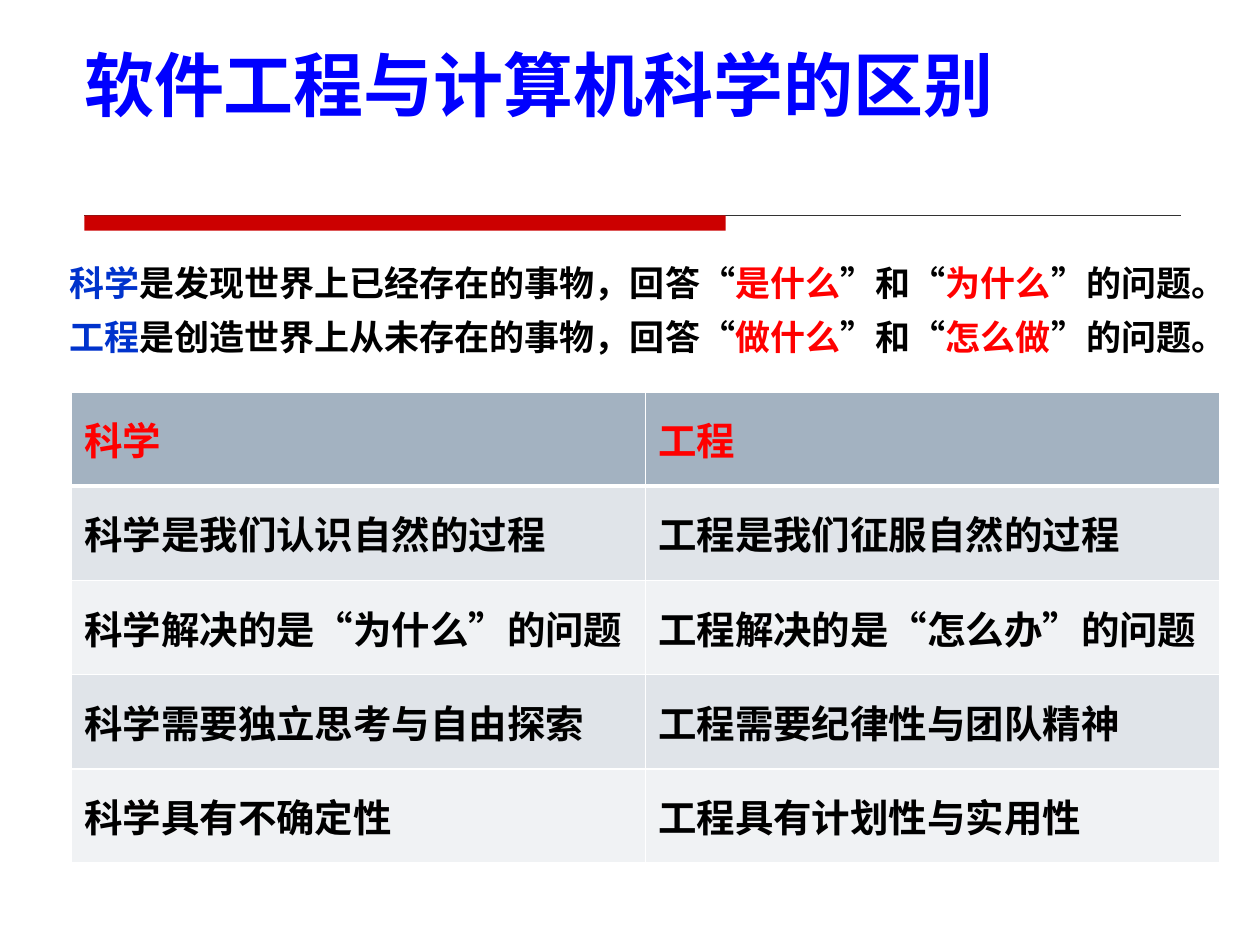
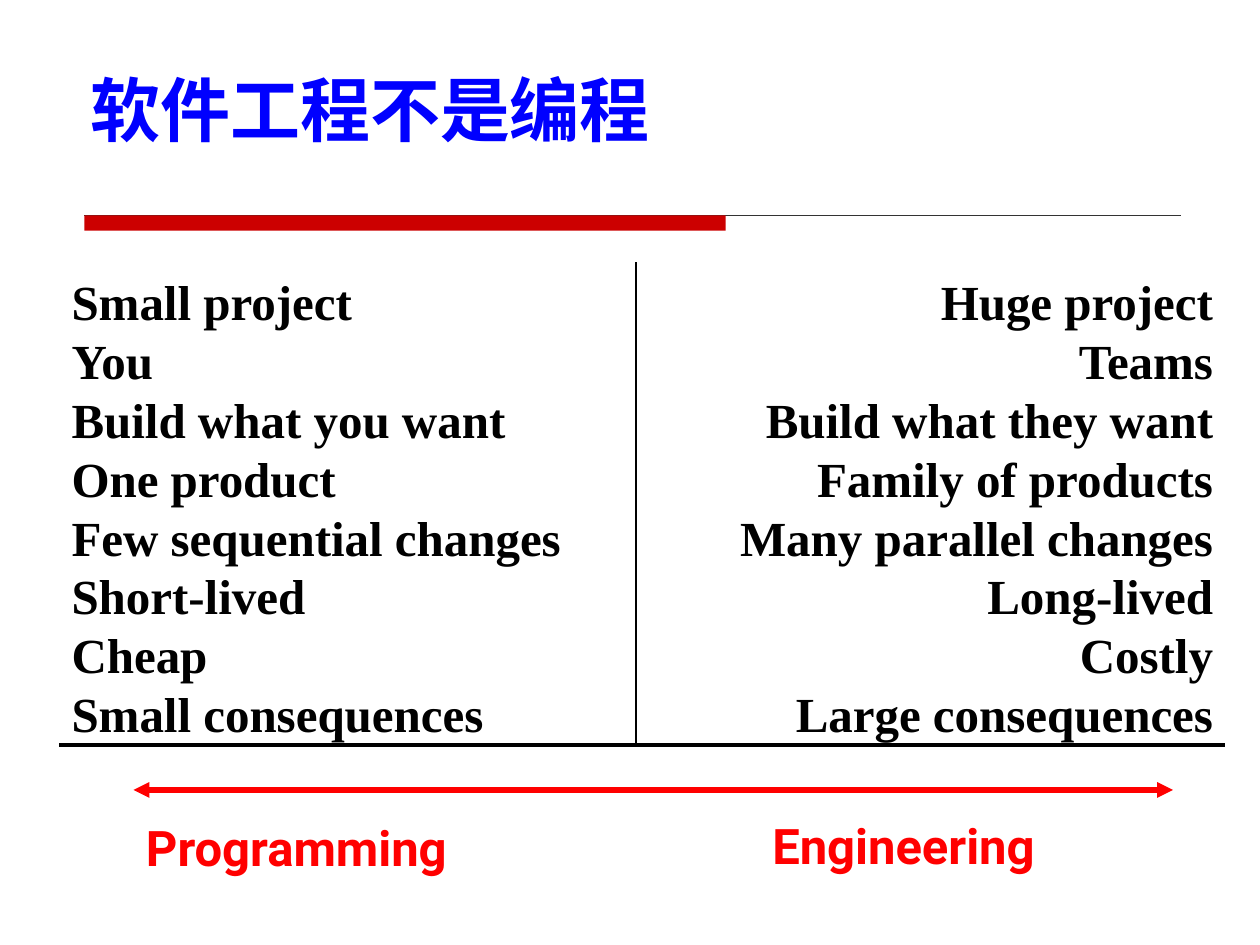
from dataclasses import dataclass

from lxml.etree import SubElement
from pptx import Presentation
from pptx.dml.color import RGBColor as Rgb
from pptx.enum.shapes import MSO_CONNECTOR as Connector, MSO_SHAPE as Shape
from pptx.enum.text import MSO_ANCHOR as Anchor, PP_ALIGN as Align
from pptx.oxml.ns import qn
from pptx.util import Pt


@dataclass(frozen=True)
class Theme:
    # Colours
    title: str = "0000FF"
    band: str = "CC0000"
    rule: str = "333333"
    text: str = "000000"
    term: str = "0033CC"
    accent: str = "FF0000"
    border: str = "FFFFFF"
    header_fill: str = "A3B2C1"
    row_fills: tuple = ("E0E4E9", "F0F2F4")
    # Fonts
    cjk: str = "Noto Sans CJK SC"
    sans: str = "Calibri"
    serif: str = "Times New Roman"
    label: str = "Roboto"
    # Type sizes
    title_size: float = 40
    list_size: float = 28
    table_size: float = 22
    body_size: float = 20


class SlideMaker:
    def __init__(self, deck, theme):
        self.deck = deck
        self.theme = theme
        self.slide = None

    def new_slide(self, title, title_box):
        self.slide = self.deck.slides.add_slide(self.deck.slide_layouts[6])
        theme = self.theme
        # Rule and red band under the title
        self.line((48.25, 123.1), (674.6, 123.1), theme.rule, 0.5)
        band = self.slide.shapes.add_shape(
            Shape.RECTANGLE, Pt(48.25), Pt(123.1), Pt(366.5), Pt(8.7))
        band.shadow.inherit = False
        band.fill.solid()
        band.fill.fore_color.rgb = Rgb.from_string(theme.band)
        band.line.fill.background()
        self.text(title_box, [title], theme.cjk, theme.title_size, theme.title,
                  anchor=Anchor.MIDDLE)

    def style(self, para, font, size, color):
        para.font.name = font
        props = para._p.get_or_add_pPr().get_or_add_defRPr()
        SubElement(props, qn("a:ea")).set("typeface", self.theme.cjk)
        para.font.size = Pt(size)
        para.font.bold = True
        para.font.color.rgb = Rgb.from_string(color)

    def text(self, place, lines, font, size, color, align=Align.LEFT,
             spacing=None, anchor=Anchor.TOP, inset_top=3.6):
        """Each line is a string or a list of (text, colour) spans."""
        box = self.slide.shapes.add_textbox(*map(Pt, place))
        frame = box.text_frame
        frame.word_wrap = True
        frame.vertical_anchor = anchor
        frame.margin_top = Pt(inset_top)
        for index, line in enumerate(lines):
            para = frame.paragraphs[0] if index == 0 else frame.add_paragraph()
            para.alignment = align
            if spacing:
                para.line_spacing = spacing
            self.style(para, font, size, color)
            for words, tint in [(line, None)] if isinstance(line, str) else line:
                span = para.add_run()
                span.text = words
                if tint:
                    span.font.color.rgb = Rgb.from_string(tint)

    def line(self, start, end, color, width, arrows=False):
        line = self.slide.shapes.add_connector(
            Connector.STRAIGHT, *map(Pt, (*start, *end)))
        line.line.color.rgb = Rgb.from_string(color)
        line.line.width = Pt(width)
        if arrows:
            for tag in ("a:headEnd", "a:tailEnd"):
                SubElement(line.line._get_or_add_ln(), qn(tag)).set("type", "triangle")
        SubElement(line._element.spPr, qn("a:effectLst"))

    def border(self, cell, side, width):
        edge = SubElement(cell._tc.get_or_add_tcPr(), qn(f"a:ln{side}"))
        edge.set("w", str(Pt(width)))
        fill = SubElement(edge, qn("a:solidFill"))
        SubElement(fill, qn("a:srgbClr")).set("val", self.theme.border)

    def table(self, place, rows):
        theme = self.theme
        left, top, width, height = map(Pt, place)
        table = self.slide.shapes.add_table(
            len(rows), len(rows[0]), left, top, width, height).table
        for row_index, row in enumerate(rows):
            header = row_index == 0
            fill = theme.header_fill if header else theme.row_fills[(row_index - 1) % 2]
            for column_index, words in enumerate(row):
                cell = table.cell(row_index, column_index)
                # Borders come before the fill; the header has a thick lower edge
                for side in "LRTB":
                    thick = (row_index, side) in ((0, "B"), (1, "T"))
                    self.border(cell, side, 3 if thick else 1)
                cell.fill.solid()
                cell.fill.fore_color.rgb = Rgb.from_string(fill)
                cell.vertical_anchor = Anchor.MIDDLE
                para = cell.text_frame.paragraphs[0]
                self.style(para, theme.serif, theme.table_size,
                           theme.accent if header else theme.text)
                para.add_run().text = words


def science_and_engineering(maker):
    theme = maker.theme
    maker.new_slide("软件工程与计算机科学的区别", (41, 21.6, 656, 52.6))

    # Definitions with highlighted terms
    definitions = [
        ("科学", "是发现世界上已经存在的事物，回答“", "是什么", "为什么"),
        ("工程", "是创造世界上从未存在的事物，回答“", "做什么", "怎么做"),
    ]
    lines = [
        [(term, theme.term), (meaning, None), (first, theme.accent),
         ("”和“", None), (second, theme.accent), ("”的问题。", None)]
        for term, meaning, first, second in definitions
    ]
    maker.text((20.2, 131.8, 699.8, 77.8), lines, theme.sans, theme.body_size,
               theme.text, Align.CENTER, Pt(30.7), inset_top=10.8)

    # Comparison table
    maker.table((41, 223.9, 656, 269.3), [
        ("科学", "工程"),
        ("科学是我们认识自然的过程", "工程是我们征服自然的过程"),
        ("科学解决的是“为什么”的问题", "工程解决的是“怎么办”的问题"),
        ("科学需要独立思考与自由探索", "工程需要纪律性与团队精神"),
        ("科学具有不确定性", "工程具有计划性与实用性"),
    ])


def programming_and_engineering(maker):
    theme = maker.theme
    maker.new_slide("软件工程不是编程", (44.6, 18.7, 594, 86.4))

    # Arrow with its two ends named
    maker.line((76.3, 451.4), (670.3, 451.4), theme.accent, 3, arrows=True)
    for words, left, top in (("Programming", 76.3, 469.9), ("Engineering", 434.2, 468.7)):
        maker.text((left, top, 220, 34.5), [words], theme.label, theme.list_size,
                   theme.accent, spacing=0.8)

    # Two facing lists
    left, middle, right, top, bottom = 33.8, 363.6, 700.2, 149.8, 425.5
    pairs = [
        ("Small project", "Huge project"),
        ("You", "Teams"),
        ("Build what you want", "Build what they want"),
        ("One product", "Family of products"),
        ("Few sequential changes", "Many parallel changes"),
        ("Short-lived", "Long-lived"),
        ("Cheap", "Costly"),
        ("Small consequences", "Large consequences"),
    ]
    small, large = zip(*pairs)
    for lines, start, end, align in ((small, left, middle, Align.LEFT),
                                     (large, middle, right, Align.RIGHT)):
        maker.text((start, top, end - start, bottom - top), lines, theme.serif,
                   theme.list_size, theme.text, align, Pt(33.6), inset_top=5.6)

    # Base line and divider
    maker.line((left, bottom), (right, bottom), theme.text, 2.25)
    maker.line((middle, top), (middle, bottom), theme.text, 1)


def main():
    deck = Presentation()
    deck.slide_width, deck.slide_height = Pt(720), Pt(540)
    maker = SlideMaker(deck, Theme())
    science_and_engineering(maker)
    programming_and_engineering(maker)
    deck.save("out.pptx")


if __name__ == "__main__":
    main()
